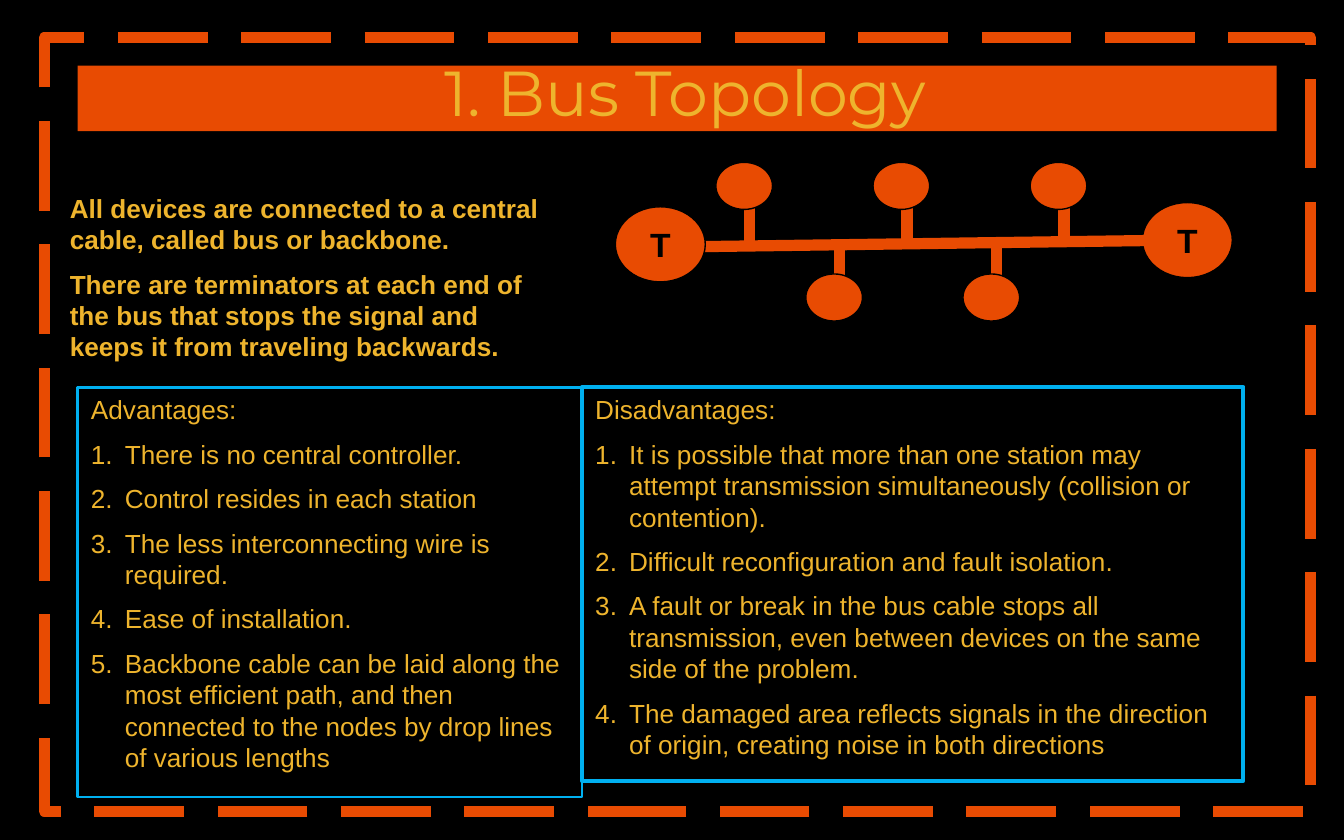
import pptx
import pptx.dml.color
import pptx.enum.dml
import pptx.enum.shapes
import pptx.enum.text
import pptx.oxml
import pptx.oxml.ns
import pptx.util
from lxml import etree

Cm = pptx.util.Cm
Pt = pptx.util.Pt
SHAPES = pptx.enum.shapes.MSO_SHAPE
ANCHOR = pptx.enum.text.MSO_ANCHOR
ALIGN = pptx.enum.text.PP_ALIGN

ORANGE, GOLD, BLACK, BLUE = "E84B02", "EEB42D", "000000", "00B0F0"

SUMMARY = [
    "All devices are connected to a central cable, called bus or backbone.",
    "There are terminators at each end of the bus that stops the signal and "
    "keeps it from traveling backwards.",
]
ADVANTAGES = [
    "There is no central controller.",
    "Control resides in each station",
    "The less interconnecting wire is required.",
    "Ease of installation.",
    "Backbone cable can be laid along the most efficient path, and then "
    "connected to the nodes by drop lines of various lengths",
]
DISADVANTAGES = [
    "It is possible that more than one station may attempt transmission "
    "simultaneously (collision or contention).",
    "Difficult reconfiguration and fault isolation.",
    "A fault or break in the bus cable stops all transmission, even between "
    "devices on the same side of the problem.",
    "The damaged area reflects signals in the direction of origin, creating "
    "noise in both directions",
]


def color(value):
    """Turn a hex string into a colour."""
    return pptx.dml.color.RGBColor.from_string(value)


def add_shape(slide, kind, box, fill=None, line=None, line_width=0.75):
    """Add a preset shape in a box given in centimetres."""
    shape = slide.shapes.add_shape(kind, *map(Cm, box))
    shape.shadow.inherit = False
    if fill:
        shape.fill.solid()
        shape.fill.fore_color.rgb = color(fill)
    else:
        shape.fill.background()
    if line:
        shape.line.color.rgb = color(line)
        shape.line.width = Pt(line_width)
    else:
        shape.line.fill.background()
    return shape


def add_line(slide, start, end):
    """Add a thick cable between two points given in centimetres."""
    connector = slide.shapes.add_connector(
        pptx.enum.shapes.MSO_CONNECTOR.STRAIGHT, *map(Cm, start + end))
    connector.line.color.rgb = color(ORANGE)
    connector.line.width = Pt(6)
    etree.SubElement(connector._element.spPr, pptx.oxml.ns.qn("a:effectLst"))


def write(shape, text, size=14, font="Arial", fill=GOLD, bold=False,
          align=ALIGN.LEFT, anchor=ANCHOR.TOP, wrap=True, first=True,
          numbered=False, spacing=None):
    """Write one paragraph into a shape."""
    frame = shape.text_frame
    frame.word_wrap = wrap
    frame.vertical_anchor = anchor
    paragraph = frame.paragraphs[0] if first else frame.add_paragraph()
    paragraph.alignment = align
    paragraph.space_before = Pt(0 if first else 7)
    if spacing:
        paragraph.line_spacing = spacing
    if numbered:
        properties = paragraph._p.get_or_add_pPr()
        properties.set("marL", str(Cm(0.64)))
        properties.set("indent", str(-Cm(0.64)))
        bullet = etree.SubElement(properties, pptx.oxml.ns.qn("a:buAutoNum"))
        bullet.set("type", "arabicPeriod")
    run = paragraph.add_run()
    run.text = text
    run.font.size = Pt(size)
    run.font.name = font
    run.font.bold = bold
    run.font.color.rgb = color(fill)


def add_border(slide, box):
    """Add the dashed frame around the slide."""
    border = add_shape(slide, SHAPES.RECTANGLE, box, line=ORANGE, line_width=6)
    border.line.dash_style = pptx.enum.dml.MSO_LINE.LONG_DASH


def add_title(slide, box):
    """Add the title bar."""
    bar = add_shape(slide, SHAPES.RECTANGLE, box, fill=ORANGE)
    bar.text_frame.margin_left = Cm(0.55)
    write(bar, "1. Bus Topology", size=34, font="Montserrat",
          align=ALIGN.CENTER, anchor=ANCHOR.MIDDLE, spacing=0.8)


def add_summary(slide, box):
    """Add the bold introduction."""
    text_box = slide.shapes.add_textbox(*map(Cm, box))
    for index, text in enumerate(SUMMARY):
        write(text_box, text, bold=True, first=index == 0)


def add_terminator(slide, box):
    """Add one labelled end of the bus."""
    terminator = add_shape(slide, SHAPES.OVAL, box, fill=ORANGE, line=BLACK)
    write(terminator, "T", size=18, fill=BLACK, bold=True,
          align=ALIGN.CENTER, anchor=ANCHOR.MIDDLE, wrap=False)


def add_bus_diagram(slide, box):
    """Add the bus with its terminators, drop lines and devices."""
    left, top, width, height = box
    node_width, node_height, pitch = 1.07, 0.89, 2.97
    end_width, end_height = 1.7, 1.42
    upper = [(left + 1.9 + pitch * i, top, 0.84, 1.5) for i in range(3)]
    lower = [(left + 3.6 + pitch * i, top + height - node_height, 1.47, 2.18)
             for i in range(2)]
    add_terminator(slide, (left + width - end_width, top + 0.76,
                           end_width, end_height))
    add_line(slide, (left + 1.07, top + 1.6), (left + 10.59, top + 1.47))
    for x, _, start, end in upper + lower:
        add_line(slide, (x + 0.64, top + start), (x + 0.64, top + end))
    add_terminator(slide, (left, top + 0.84, end_width, end_height))
    for x, y, _, _ in upper + lower:
        add_shape(slide, SHAPES.OVAL, (x, y, node_width, node_height),
                  fill=ORANGE, line=BLACK)


def add_list_panel(slide, box, heading, items, line_width):
    """Add an outlined panel with a heading and a numbered list."""
    panel = add_shape(slide, SHAPES.RECTANGLE, box, line=BLUE,
                      line_width=line_width)
    write(panel, heading)
    for item in items:
        write(panel, item, first=False, numbered=True)


def main():
    """Build and save the presentation."""
    presentation = pptx.Presentation()
    presentation.slide_width = Cm(25.4)
    presentation.slide_height = Cm(15.88)
    slide = presentation.slides.add_slide(presentation.slide_layouts[6])
    slide.background.fill.solid()
    slide.background.fill.fore_color.rgb = color(BLACK)
    add_border(slide, (0.84, 0.71, 23.93, 14.63))
    add_title(slide, (1.47, 1.24, 22.66, 1.24))
    add_bus_diagram(slide, (11.63, 3.07, 11.66, 3))
    add_summary(slide, (1.07, 3.51, 9.53, 3.53))
    add_list_panel(slide, (11, 7.32, 12.5, 7.44), "Disadvantages:",
                   DISADVANTAGES, 2.25)
    add_list_panel(slide, (1.47, 7.32, 9.53, 7.75), "Advantages:",
                   ADVANTAGES, 1.5)
    presentation.save("out.pptx")


if __name__ == "__main__":
    main()
